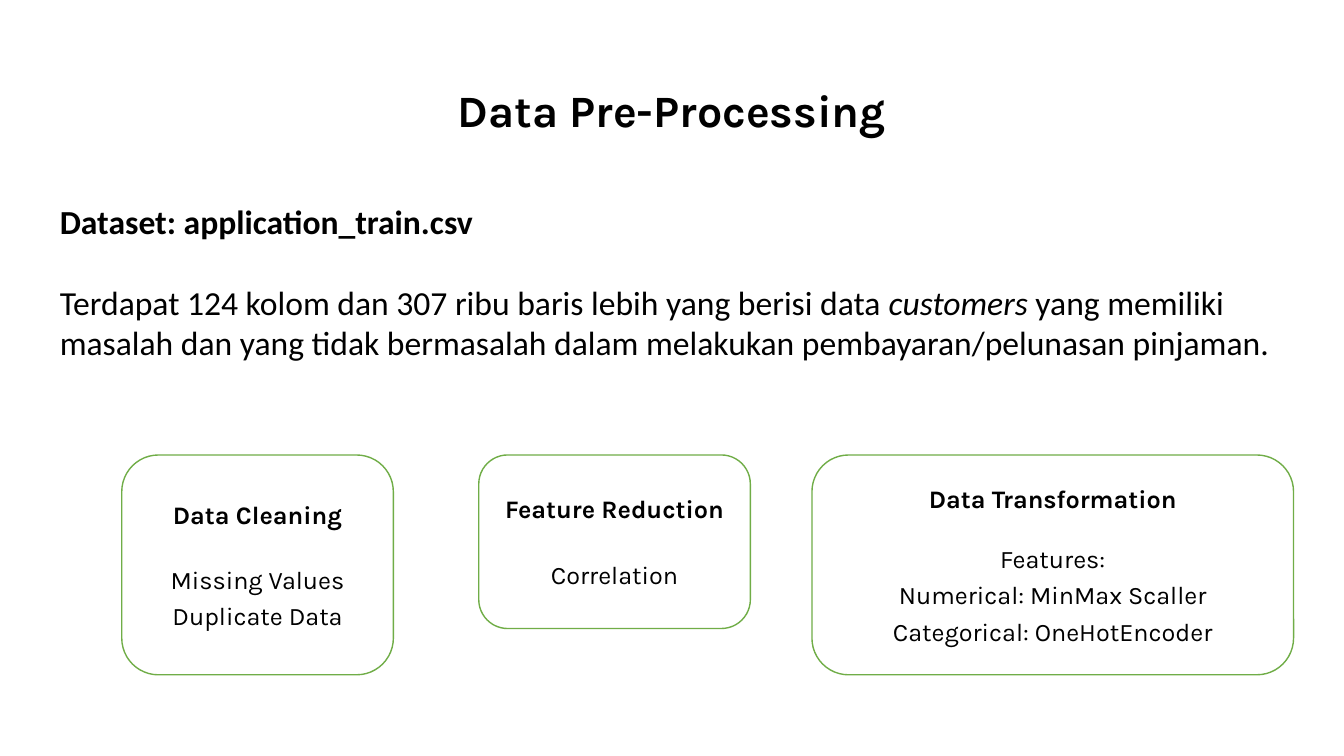
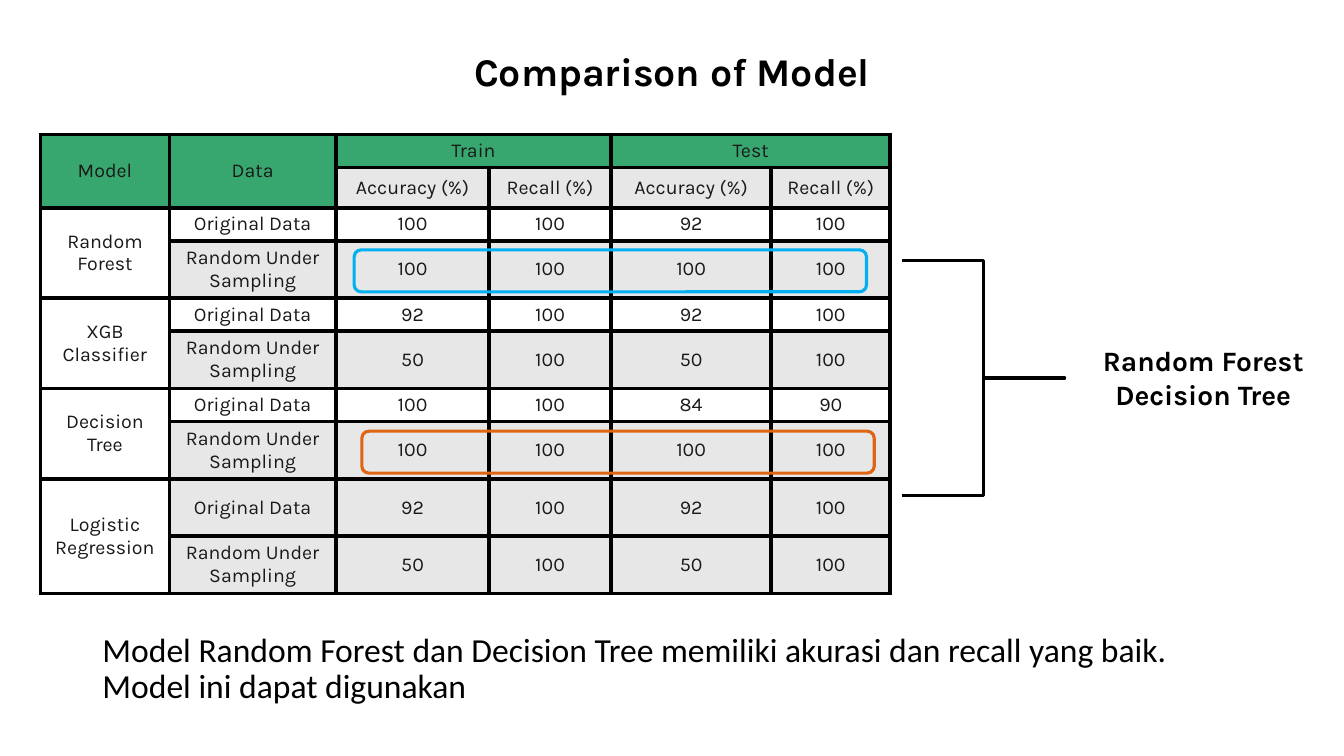
from lxml.etree import SubElement
from pptx import Presentation
from pptx.dml.color import RGBColor
from pptx.enum.shapes import MSO_SHAPE
from pptx.enum.text import MSO_ANCHOR, MSO_AUTO_SIZE, PP_ALIGN
from pptx.oxml.ns import qn
from pptx.util import Pt

COLORS = {
    "black": "000000", "ink": "191919", "white": "FFFFFF", "grey": "E7E7E7",
    "header": "37A76F", "card": "70AD47", "blue": "00B0F0", "orange": "DE6512",
}
HEADING_FONT, BODY_FONT = "Karla", "Calibri"
CARD_GAP = 21

CARDS = [
    ((87, 325, 194, 157), "Data Cleaning", [("Missing Values", 1.2), ("Duplicate Data", 1.2)]),
    ((342, 325, 194, 124), "Feature Reduction", [("Correlation", 1.2)]),
    ((580, 325, 344, 157), "Data Transformation",
     [("Features:", 1), ("Numerical: MinMax Scaller", 1.2), ("Categorical: OneHotEncoder", 1.2)]),
]
COLUMN_WIDTHS = [92, 119, 109.5, 87, 114.5, 85]
ROW_HEIGHTS = [21.6, 28.8] + [21.6, 41] * 3 + [41, 41]
METRICS = ["Accuracy (%)", "Recall (%)"]
SAMPLINGS = ["Original Data", "Random Under Sampling"]
SCORES = {
    "Random Forest": [(100, 100, 92, 100), (100, 100, 100, 100)],
    "XGB Classifier": [(92, 100, 92, 100), (50, 100, 50, 100)],
    "Decision Tree": [(100, 100, 84, 90), (100, 100, 100, 100)],
    "Logistic Regression": [(92, 100, 92, 100), (50, 100, 50, 100)],
}


def rgb(name):
    """Return the palette colour with this name."""
    return RGBColor.from_string(COLORS[name])


def points(box):
    """Turn a box of numbers into lengths in points."""
    return [Pt(value) for value in box]


def format_paragraph(paragraph, size, font, bold=False, color="black", align=PP_ALIGN.CENTER):
    """Apply one alignment and type style to a paragraph and its runs."""
    paragraph.alignment = align
    for run in paragraph.runs:
        run.font.size = Pt(size)
        run.font.name = font
        run.font.bold = bold
        run.font.color.rgb = rgb(color)


def place(placeholder, box, anchor):
    """Move a placeholder to a box and fix its text size."""
    placeholder.left, placeholder.top, placeholder.width, placeholder.height = points(box)
    frame = placeholder.text_frame
    frame.auto_size = MSO_AUTO_SIZE.NONE
    frame.vertical_anchor = anchor
    return frame


def remove_insets(frame):
    """Set all four text margins to zero."""
    frame.margin_left = frame.margin_right = frame.margin_top = frame.margin_bottom = 0


def add_title(slide, box, wording, size):
    """Fill the title placeholder in the shared title style."""
    frame = place(slide.shapes.title, box, MSO_ANCHOR.MIDDLE)
    frame.text = wording
    frame.paragraphs[0].line_spacing = 0.9
    format_paragraph(frame.paragraphs[0], size, HEADING_FONT, bold=True)


def add_body(slide, box, paragraphs, line_spacing):
    """Fill the body placeholder with unbulleted (runs, bold, space before) paragraphs."""
    frame = place(slide.placeholders[1], box, MSO_ANCHOR.TOP)
    for index, (wordings, bold, space_before) in enumerate(paragraphs):
        paragraph = frame.add_paragraph() if index else frame.paragraphs[0]
        for wording in wordings:
            paragraph.add_run().text = wording
        paragraph.line_spacing = line_spacing
        paragraph.space_before = Pt(space_before)
        format_paragraph(paragraph, 24, BODY_FONT, bold, align=PP_ALIGN.LEFT)
        properties = paragraph._p.get_or_add_pPr()
        properties.set("marL", "0")
        properties.set("indent", "0")
        SubElement(properties, qn("a:buNone"))
    return frame


def add_outline(slide, kind, box, color, weight):
    """Draw an unfilled preset shape with a coloured line."""
    outline = slide.shapes.add_shape(kind, *points(box))
    outline.shadow.inherit = False
    outline.fill.background()
    outline.line.color.rgb = rgb(color)
    outline.line.width = Pt(weight)
    return outline


def add_card(slide, box, heading, steps):
    """Draw a rounded card with a bold heading above its steps."""
    card = add_outline(slide, MSO_SHAPE.ROUNDED_RECTANGLE, box, "card", 1)
    frame = card.text_frame
    remove_insets(frame)
    frame.vertical_anchor = MSO_ANCHOR.MIDDLE
    frame.text = heading
    format_paragraph(frame.paragraphs[0], 18, HEADING_FONT, bold=True)
    for index, (step, line_spacing) in enumerate(steps):
        paragraph = frame.add_paragraph()
        paragraph.text = step
        paragraph.line_spacing = line_spacing
        paragraph.space_before = Pt(0 if index else CARD_GAP)
        format_paragraph(paragraph, 18, HEADING_FONT)


def format_cell(cell, fill):
    """Give a table cell its borders, fill and centred text."""
    properties = cell._tc.get_or_add_tcPr()
    for side in ("lnL", "lnR", "lnT", "lnB"):
        border = SubElement(properties, qn(f"a:{side}"), w=str(Pt(3)))
        border_fill = SubElement(border, qn("a:solidFill"))
        SubElement(border_fill, qn("a:srgbClr"), val=COLORS["black"])
    cell.fill.solid()
    cell.fill.fore_color.rgb = rgb(fill)
    cell.vertical_anchor = MSO_ANCHOR.MIDDLE
    format_paragraph(cell.text_frame.paragraphs[0], 14, HEADING_FONT, color="ink")


def score_rows():
    """List the table rows as texts, with blanks where cells are merged."""
    rows = [["Model", "Data", "Train", "", "Test", ""], ["", ""] + METRICS * 2]
    for model, results in SCORES.items():
        for index, (sampling, scores) in enumerate(zip(SAMPLINGS, results)):
            rows.append(["" if index else model, sampling, *map(str, scores)])
    return rows


def cell_fill(row, column):
    """Choose the fill name for a cell by its place in the table."""
    if row == 0 or (row == 1 and column < 2):
        return "header"
    if row > 1 and (column == 0 or (row % 2 == 0 and row < 8)):
        return "white"
    return "grey"


def add_score_table(slide, left, top):
    """Build the model score table at a position."""
    rows = score_rows()
    box = (left, top, sum(COLUMN_WIDTHS), sum(ROW_HEIGHTS))
    table = slide.shapes.add_table(len(rows), len(COLUMN_WIDTHS), *points(box)).table
    table.first_row = table.horz_banding = False
    for column, width in zip(table.columns, COLUMN_WIDTHS):
        column.width = Pt(width)
    for row, height in zip(table.rows, ROW_HEIGHTS):
        row.height = Pt(height)
    for row, wordings in enumerate(rows):
        for column, wording in enumerate(wordings):
            cell = table.cell(row, column)
            cell.text = wording
            format_cell(cell, cell_fill(row, column))
    for column in (2, 4):
        table.cell(0, column).merge(table.cell(0, column + 1))
    for row, column in [(0, 1)] + [(row, 0) for row in range(0, len(rows), 2)]:
        table.cell(row, column).merge(table.cell(row + 1, column))


def add_verdict(slide, box, models):
    """Draw the bracket in the box and name the chosen models to its right."""
    left, top, width, height = box
    bracket = add_outline(slide, MSO_SHAPE.RIGHT_BRACE, box, "black", 2.25)
    bracket.adjustments[0], bracket.adjustments[1] = 0, 0.5
    names_box = (left + width + 4, top + height / 2 - 24.5, 190, 48)
    frame = slide.shapes.add_textbox(*points(names_box)).text_frame
    frame.word_wrap = True
    remove_insets(frame)
    frame.text = "\n".join(models)
    for paragraph in frame.paragraphs:
        format_paragraph(paragraph, 20, HEADING_FONT, bold=True)


def build_preprocessing(slide):
    """Build the data pre-processing slide."""
    add_title(slide, (66, 29, 828, 104), "Data Pre-Processing", 32)
    description = [
        "Terdapat 124 kolom dan 307 ribu baris lebih yang berisi data ",
        "customers",
        " yang memiliki masalah dan yang tidak bermasalah dalam melakukan pembayaran/pelunasan pinjaman.",
    ]
    frame = add_body(slide, (35.5, 140, 889, 124), [
        (["Dataset: application_train.csv"], True, 0),
        (description, False, 29),
    ], 1)
    frame.paragraphs[1].runs[1].font.italic = True
    for box, heading, steps in CARDS:
        add_card(slide, box, heading, steps)


def build_comparison(slide):
    """Build the model comparison slide."""
    add_title(slide, (66, 27, 828, 51), "Comparison of Model", 28)
    add_score_table(slide, 29, 96)
    add_verdict(slide, (644.5, 186, 116, 168), ["Random Forest", "Decision Tree"])
    for left, top, color in [(253, 178.5, "blue"), (258.5, 308, "orange")]:
        add_outline(slide, MSO_SHAPE.ROUNDED_RECTANGLE, (left, top, 366, 30), color, 2.25)
    conclusion = ("Model Random Forest dan Decision Tree memiliki akurasi dan recall yang baik. "
                  "Model ini dapat digunakan")
    add_body(slide, (66, 449, 828, 81), [([conclusion], False, 10)], 0.9)


def main():
    """Build and save the presentation."""
    presentation = Presentation()
    presentation.slide_width, presentation.slide_height = Pt(960), Pt(540)
    for build in (build_preprocessing, build_comparison):
        build(presentation.slides.add_slide(presentation.slide_layouts[1]))
    presentation.save("out.pptx")


if __name__ == "__main__":
    main()
